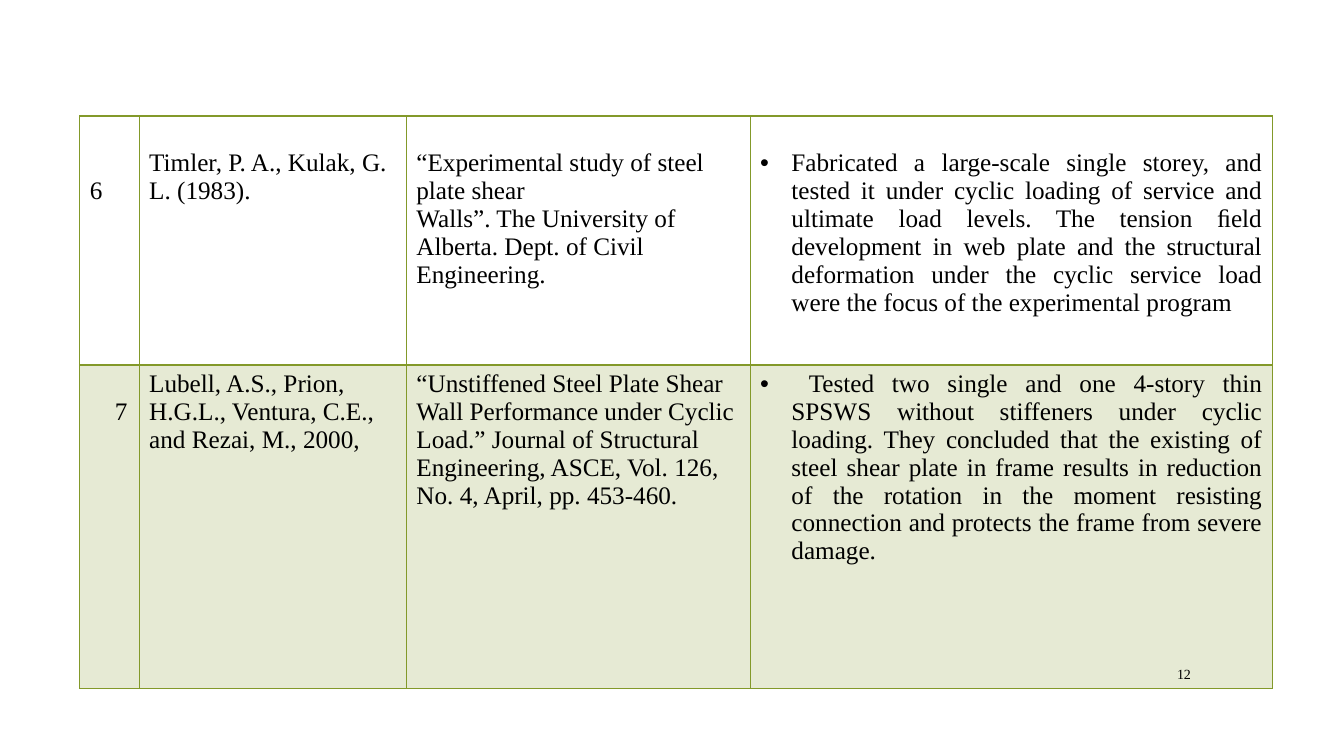
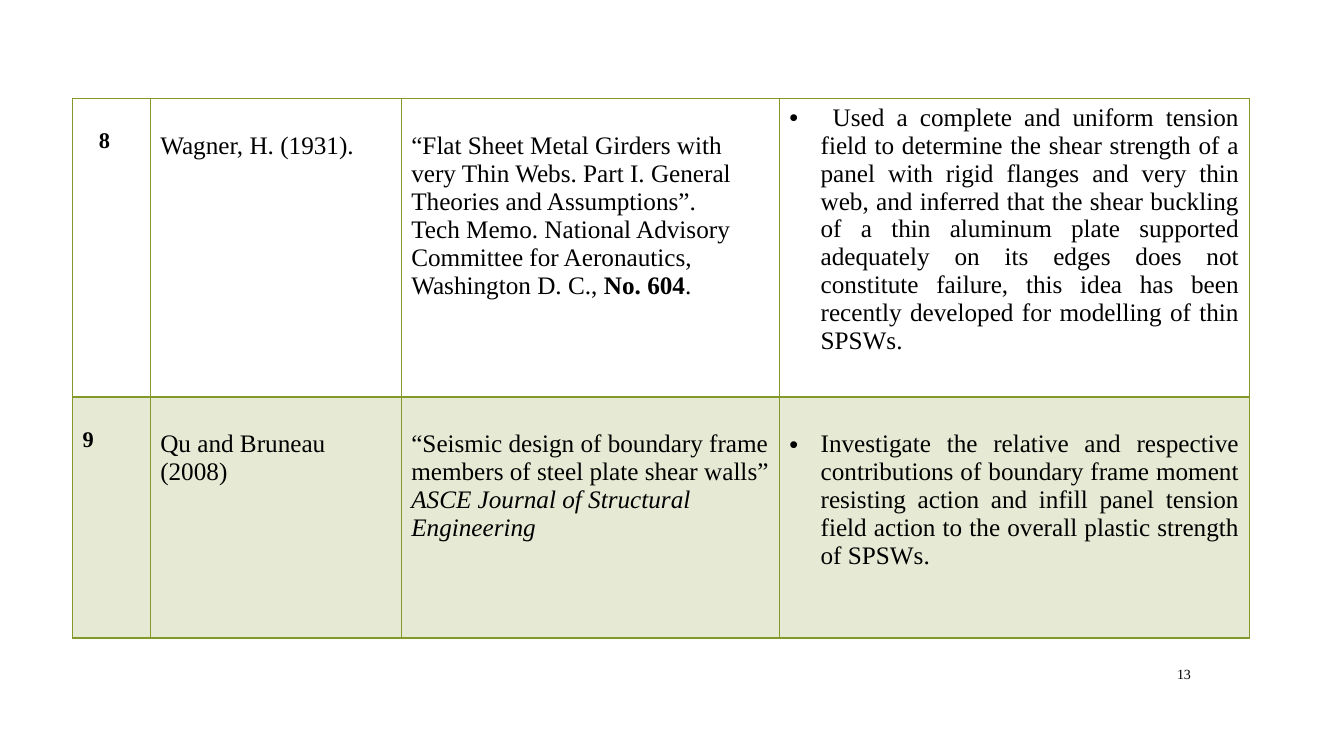
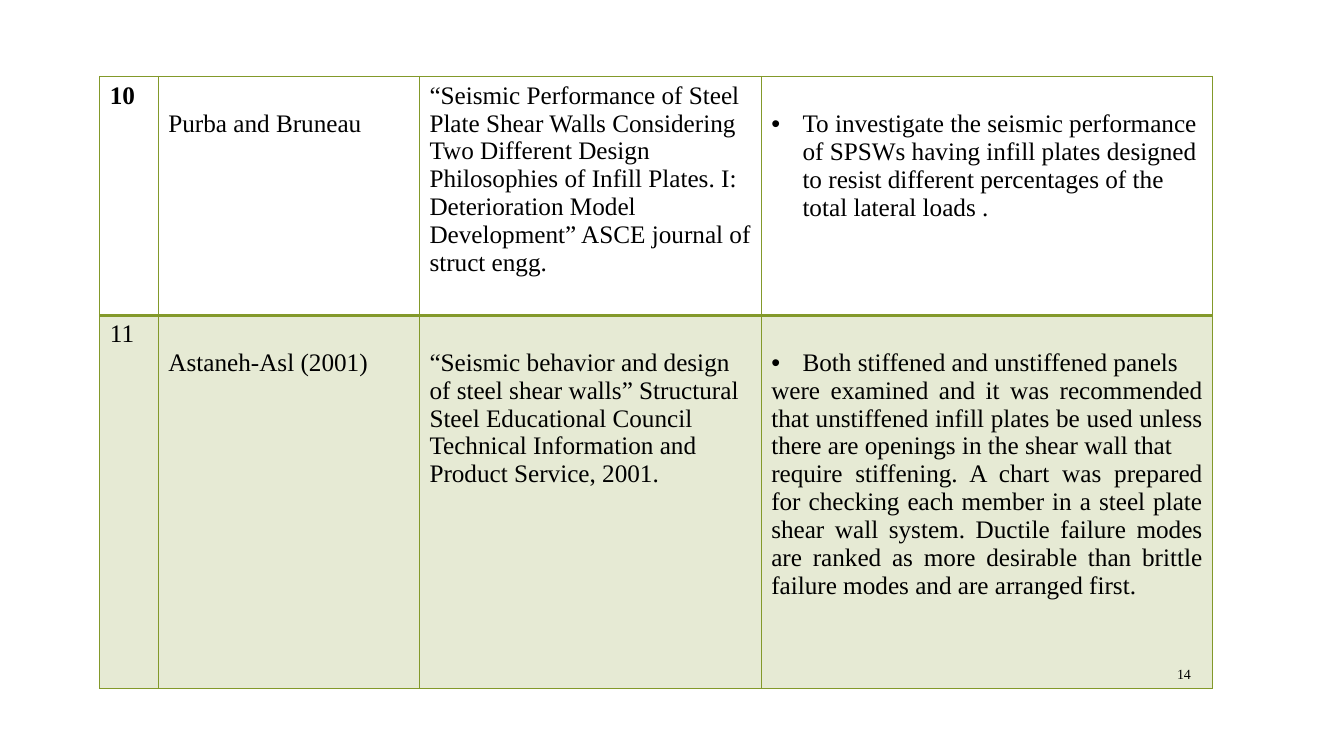
from lxml import etree
from pptx import Presentation
from pptx import util as u
from pptx.dml.color import RGBColor
from pptx.enum import text
from pptx.oxml.ns import qn

# Shared style
FONT, INK, GREEN = "Times New Roman", "000000", "83992A"
SIZE, LINE, HANG = 18, 0.28, 0.31
PAD_X, PAD_Y = 0.1, 0.05
THIN, THICK = 1, 2
SHADE = 20000
LEFT, RIGHT, JUSTIFY = (text.PP_ALIGN.LEFT, text.PP_ALIGN.RIGHT,
                        text.PP_ALIGN.JUSTIFY)
FIRST_NUMBER = 12
NUMBER_BOX = (11.32, 6.53, 0.59, 0.31)


def cell_text(*paras, drop=1, indent=PAD_X, size=SIZE, bold=False,
              align=LEFT, bullet=False):
    """Paragraphs of one cell; drop counts lines down from its top."""
    return dict(paras=paras, drop=drop, indent=indent, size=size, bold=bold,
                align=align, bullet=bullet)


def finding(*paras, drop=1, align=JUSTIFY):
    return cell_text(*paras, drop=drop, align=align, bullet=True)


# Content: a paragraph is a string or a list of (text, format) runs
TABLES = [
    dict(at=(0.79, 1.15), cols=(0.59, 2.65, 3.41, 5.18), heights=(2.47, 3.21),
         rows=[
        [cell_text("6", drop=2),
         cell_text("Timler, P. A., Kulak, G. L. (1983)."),
         cell_text("“Experimental study of steel plate shear",
                   "Walls”. The University of Alberta. Dept. of Civil "
                   "Engineering."),
         finding("Fabricated a large-scale single storey, and tested it under "
                 "cyclic loading of service and ultimate load levels. The "
                 "tension ﬁeld development in web plate and the structural "
                 "deformation under the cyclic service load were the focus "
                 "of the experimental program")],
        [cell_text("7", indent=0.35),
         cell_text("Lubell, A.S., Prion, H.G.L., Ventura, C.E., and Rezai, "
                   "M., 2000,", drop=0),
         cell_text("“Unstiffened Steel Plate Shear Wall Performance under "
                   "Cyclic Load.” Journal of Structural Engineering, ASCE, "
                   "Vol. 126, No. 4, April, pp. 453-460.", drop=0),
         finding(" Tested two single and one 4-story thin SPSWS without "
                 "stiffeners under cyclic loading. They concluded that the "
                 "existing of steel shear plate in frame results in reduction "
                 "of the rotation in the moment resisting connection and "
                 "protects the frame from severe damage.", drop=0)]]),
    dict(at=(0.72, 0.98), cols=(0.77, 2.49, 3.75, 4.66), heights=(2.96, 2.39),
         rows=[
        [cell_text("8", indent=0.26, size=16, bold=True),
         cell_text("Wagner, H. (1931)."),
         cell_text("“Flat Sheet Metal Girders with very Thin Webs. Part I. "
                   "General Theories and Assumptions”.",
                   [("Tech Memo. National Advisory Committee for Aeronautics, "
                     "Washington D. C., ", {}),
                    ("No. 604", {"bold": True}), (".", {})]),
         finding(" Used a complete and uniform tension field to determine the "
                 "shear strength of a panel with rigid flanges and very thin "
                 "web, and inferred that the shear buckling of a thin "
                 "aluminum plate supported adequately on its edges does not "
                 "constitute failure, this idea has been recently developed "
                 "for modelling of thin SPSWs.", drop=0)],
        [cell_text("9", size=16, bold=True),
         cell_text("Qu and Bruneau (2008)"),
         cell_text("“Seismic design of boundary frame members of steel plate "
                   "shear walls”",
                   [("ASCE Journal of Structural Engineering",
                     {"italic": True})]),
         finding("Investigate the relative and respective contributions of "
                 "boundary frame moment resisting action and infill panel "
                 "tension field action to the overall plastic strength of "
                 "SPSWs.")]]),
    dict(at=(0.99, 0.76), cols=(0.58, 2.59, 3.39, 4.48), heights=(2.37, 3.7),
         rows=[
        [cell_text("10", drop=0, bold=True),
         cell_text("Purba and Bruneau"),
         cell_text("“Seismic Performance of Steel Plate Shear Walls "
                   "Considering Two Different Design Philosophies of Infill "
                   "Plates. I: Deterioration Model Development” ASCE journal "
                   "of struct engg.", drop=0),
         finding("To investigate the seismic performance of SPSWs having "
                 "infill plates designed to resist different percentages of "
                 "the total lateral loads .", align=LEFT)],
        [cell_text("11", drop=0),
         cell_text("Astaneh-Asl (2001)"),
         cell_text("“Seismic behavior and design of steel shear walls” "
                   "Structural Steel Educational Council Technical "
                   "Information and", "Product Service, 2001."),
         finding("Both stiffened and unstiffened panels",
                 "were examined and it was recommended that unstiffened "
                 "infill plates be used unless there are openings in the "
                 "shear wall that",
                 "require stiffening. A chart was prepared for checking each "
                 "member in a steel plate shear wall system. Ductile failure "
                 "modes are ranked as more desirable than brittle failure "
                 "modes and are arranged first.")]]),
]


def color(value):
    return RGBColor.from_string(value)


def add_run(p, words, size=SIZE, **formats):
    r = p.add_run()
    r.text = words
    r.font.color.rgb = color(INK)
    for name, value in dict(name=FONT, size=u.Pt(size), **formats).items():
        setattr(r.font, name, value)


def add_bullet(p):
    props = p._p.get_or_add_pPr()
    props.set("marL", str(u.Inches(HANG)))
    props.set("indent", str(-u.Inches(HANG)))
    etree.SubElement(props, qn("a:buFont"), typeface="Arial")
    etree.SubElement(props, qn("a:buChar"), char="•")


def set_borders(cell, widths):
    props = cell._tc.get_or_add_tcPr()
    for i, (side, width) in enumerate(widths.items()):
        line = etree.Element(qn(f"a:ln{side}"), w=str(u.Pt(width)))
        fill = etree.SubElement(line, qn("a:solidFill"))
        etree.SubElement(fill, qn("a:srgbClr"), val=GREEN)
        props.insert(i, line)


def shade(cell):
    cell.fill.solid()
    cell.fill.fore_color.rgb = color(GREEN)
    rgb = cell._tc.tcPr.find(".//" + qn("a:srgbClr"))
    etree.SubElement(rgb, qn("a:alpha"), val=str(SHADE))


def fill_cell(cell, item):
    top = PAD_Y + item["drop"] * LINE * item["size"] / SIZE
    right = PAD_X if item["indent"] == PAD_X else 0
    for side, value in dict(left=item["indent"], right=right, top=top,
                            bottom=PAD_Y).items():
        setattr(cell, f"margin_{side}", u.Inches(value))
    tf = cell.text_frame
    for i, para in enumerate(item["paras"]):
        p = tf.add_paragraph() if i else tf.paragraphs[0]
        p.alignment = item["align"]
        if item["bullet"] and i == 0:
            add_bullet(p)
        runs = [(para, {})] if isinstance(para, str) else para
        for words, formats in runs:
            add_run(p, words, item["size"], **{"bold": item["bold"], **formats})


def add_review_table(s, spec_at, cols, heights, rows):
    box = [u.Inches(v) for v in (*spec_at, sum(cols), sum(heights))]
    table = s.shapes.add_table(len(rows), len(cols), *box).table
    table.first_row = table.horz_banding = False
    for column, width in zip(table.columns, cols):
        column.width = u.Inches(width)
    for i, (height, row) in enumerate(zip(heights, rows)):
        table.rows[i].height = u.Inches(height)
        for j, item in enumerate(row):
            cell = table.cell(i, j)
            fill_cell(cell, item)
            if i % 2:
                shade(cell)
            else:
                cell.fill.background()
            # The line between the two rows is the heavy one
            set_borders(cell, dict(L=THIN, R=THIN, T=THICK if i else THIN,
                                   B=THIN if i else THICK))


def add_slide_number(s, number):
    tf = s.shapes.add_textbox(*map(u.Inches, NUMBER_BOX)).text_frame
    tf.word_wrap = True
    tf.vertical_anchor = text.MSO_ANCHOR.MIDDLE
    p = tf.paragraphs[0]
    p.alignment = RIGHT
    add_run(p, str(number), 10)


def main():
    prs = Presentation()
    prs.slide_width, prs.slide_height = u.Inches(13.33), u.Inches(7.5)
    for number, t in enumerate(TABLES, FIRST_NUMBER):
        s = prs.slides.add_slide(prs.slide_layouts[6])
        add_review_table(s, t["at"], t["cols"], t["heights"], t["rows"])
        add_slide_number(s, number)
    prs.save("out.pptx")


if __name__ == "__main__":
    main()
